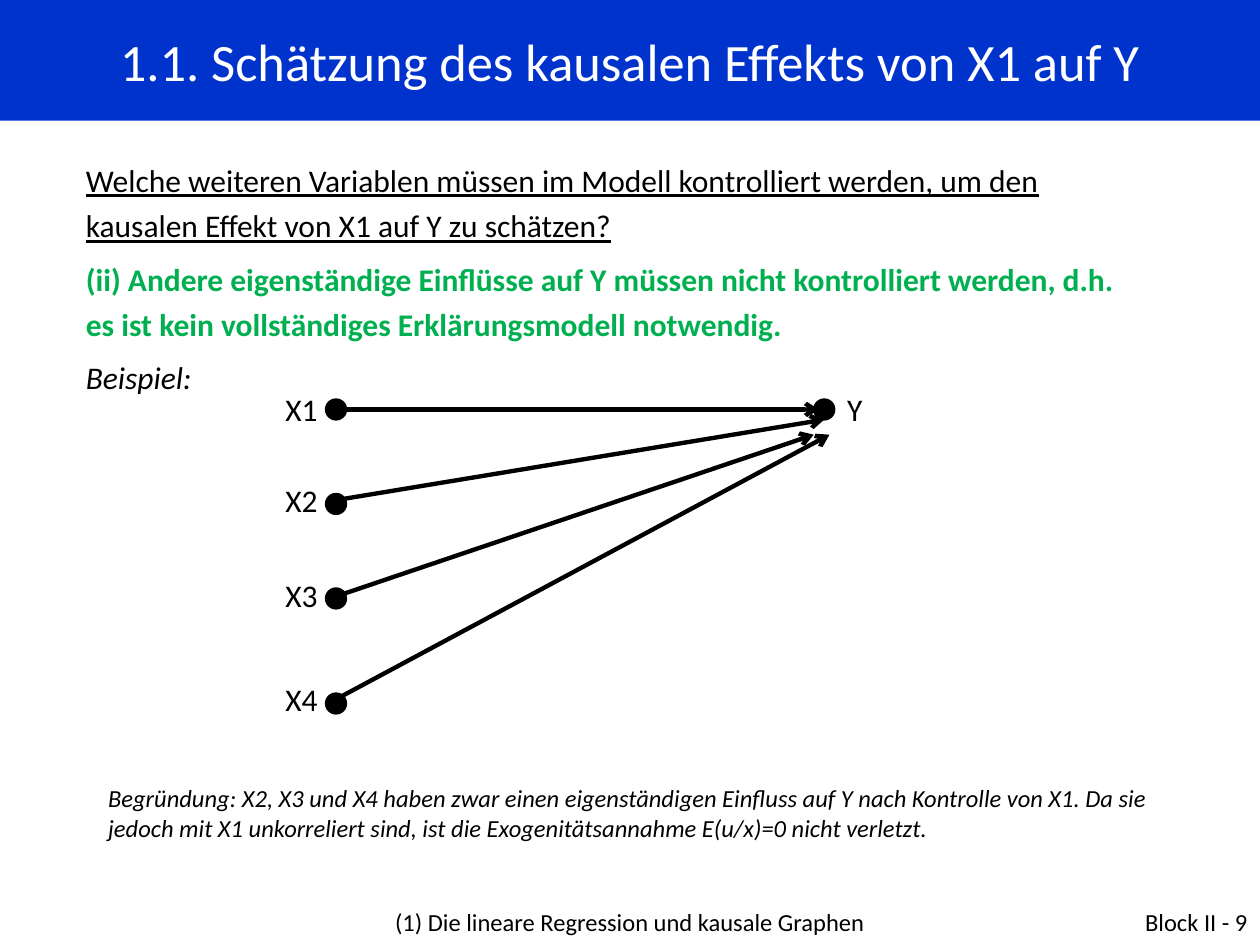
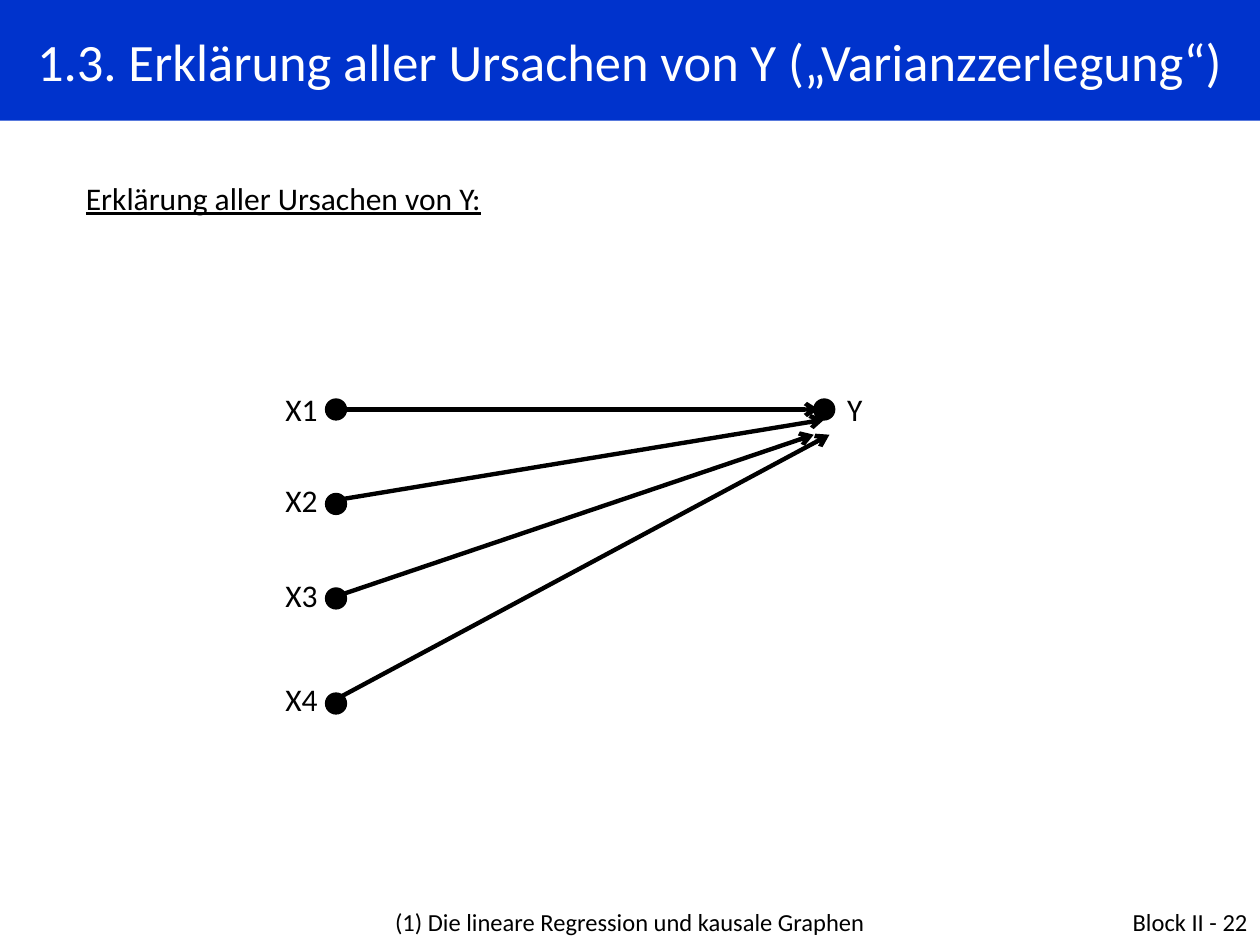
from dataclasses import dataclass

from lxml.etree import SubElement
from pptx import Presentation
from pptx.dml.color import RGBColor
from pptx.enum.shapes import MSO_CONNECTOR, MSO_SHAPE
from pptx.enum.text import MSO_ANCHOR, MSO_AUTO_SIZE, PP_ALIGN
from pptx.oxml.ns import qn
from pptx.util import Pt


@dataclass(frozen=True)
class Theme:
    font: str = "Calibri"
    band: RGBColor = RGBColor(0x00, 0x33, 0xCC)
    ink: RGBColor = RGBColor(0x00, 0x00, 0x00)
    paper: RGBColor = RGBColor(0xFF, 0xFF, 0xFF)
    accent: RGBColor = RGBColor(0x00, 0xB0, 0x50)
    title_size: float = 30
    body_size: float = 18
    small_size: float = 14
    arrow_width: float = 2.5
    dot_line: float = 0.75


THEME = Theme()
WIDTH, HEIGHT = 720, 540
TITLE_BOX = (0, 0, WIDTH, 69)
GRAPH_BOX = (156, 219.6, 357, 194)
FOOTER_BOX = (174, 514.8, 546, 25.2)
FOOTER = "(1) Die lineare Regression und kausale Graphen"

DOT = 12
LABEL_W, LABEL_H = 36, 28.8
DOT_X, Y_DOT_X, Y_LABEL_X = 36, 315, 321
# name, dot centre, label centre, arrow start x, arrow end; relative to the graph box
CAUSES = [
    ("X1", 14.4, 14.4, 36, (312, 14.4)),
    ("X2", 68.4, 66.2, 36, (315, 20.2)),
    ("X3", 122.4, 120.2, 39, (309, 28.8)),
    ("X4", 182.4, 180, 36, (318, 28.8)),
]


def write(tf, text, size=THEME.body_size, color=THEME.ink, align=PP_ALIGN.LEFT,
          bold=False, italic=False, underline=False, line=None, after=None):
    """Fill the first paragraph if it is empty, otherwise append one."""
    p = tf.paragraphs[0] if not tf.text else tf.add_paragraph()
    p.alignment = align
    if line:
        p.line_spacing = line
    if after is not None:
        p.space_after = Pt(after)
    r = p.add_run()
    r.text = text
    f = r.font
    f.name, f.size, f.color.rgb = THEME.font, Pt(size), color
    f.bold, f.italic, f.underline = bold, italic, underline


def add_frame(s, box):
    tf = s.shapes.add_textbox(*map(Pt, box)).text_frame
    tf.word_wrap = True
    return tf


def add_title(s, box, text):
    sp = s.shapes.title
    sp.left, sp.top, sp.width, sp.height = map(Pt, box)
    sp.fill.solid()
    sp.fill.fore_color.rgb = THEME.band
    tf = sp.text_frame
    tf.word_wrap = True
    tf.auto_size = MSO_AUTO_SIZE.NONE
    tf.vertical_anchor = MSO_ANCHOR.MIDDLE
    write(tf, text, size=THEME.title_size, color=THEME.paper, align=PP_ALIGN.CENTER)


def add_body(s, box, paragraphs):
    tf = add_frame(s, box)
    for text, style in paragraphs:
        write(tf, text, line=1.2, after=4.5, **style)


def add_footer(s, box, number):
    x, y, w, h = box
    topic_w, number_w = 372, 168
    write(add_frame(s, (x, y, topic_w, h)), FOOTER,
          size=THEME.small_size, align=PP_ALIGN.CENTER)
    write(add_frame(s, (x + w - number_w, y, number_w, h)), f"Block II - {number}",
          size=THEME.small_size, align=PP_ALIGN.RIGHT)


def add_dot(s, cx, cy):
    sp = s.shapes.add_shape(MSO_SHAPE.OVAL, Pt(cx - DOT / 2), Pt(cy - DOT / 2),
                            Pt(DOT), Pt(DOT))
    sp.shadow.inherit = False
    sp.fill.solid()
    sp.fill.fore_color.rgb = THEME.ink
    sp.line.color.rgb = THEME.ink
    sp.line.width = Pt(THEME.dot_line)


def add_arrow(s, x1, y1, x2, y2):
    c = s.shapes.add_connector(MSO_CONNECTOR.STRAIGHT, Pt(x1), Pt(y1), Pt(x2), Pt(y2))
    c.line.color.rgb = THEME.ink
    c.line.width = Pt(THEME.arrow_width)
    SubElement(c.line._get_or_add_ln(), qn("a:tailEnd"), type="arrow")
    SubElement(c._element.spPr, qn("a:effectLst"))


def add_node(s, cx, cy, label_x, label_cy, name):
    add_dot(s, cx, cy)
    write(add_frame(s, (label_x, label_cy - LABEL_H / 2, LABEL_W, LABEL_H)), name)


def add_causal_graph(s, box):
    x, y = box[:2]
    effect_y = y + CAUSES[0][1]
    add_node(s, x + Y_DOT_X, effect_y, x + Y_LABEL_X, effect_y, "Y")
    for name, dot_y, label_y, start_x, (end_x, end_y) in CAUSES:
        add_arrow(s, x + start_x, y + label_y, x + end_x, y + end_y)
        add_node(s, x + DOT_X, y + dot_y, x, y + label_y, name)


def add_graph_slide(prs, title, number, body_box, paragraphs):
    """Add a slide with title band, body text, causal graph and footer."""
    s = prs.slides.add_slide(prs.slide_layouts[5])
    add_title(s, TITLE_BOX, title)
    add_body(s, body_box, paragraphs)
    add_causal_graph(s, GRAPH_BOX)
    add_footer(s, FOOTER_BOX, number)
    return s


def main():
    prs = Presentation()
    prs.slide_width, prs.slide_height = Pt(WIDTH), Pt(HEIGHT)

    s = add_graph_slide(
        prs, "1.1. Schätzung des kausalen Effekts von X1 auf Y", 9, (42, 84.2, 607, 149),
        [("Welche weiteren Variablen müssen im Modell kontrolliert werden, um den "
          "kausalen Effekt von X1 auf Y zu schätzen?", {"underline": True}),
         ("(ii) Andere eigenständige Einflüsse auf Y müssen nicht kontrolliert werden, "
          "d.h. es ist kein vollständiges Erklärungsmodell notwendig.",
          {"bold": True, "color": THEME.accent}),
         ("Beispiel:", {"italic": True})])
    write(add_frame(s, (54.7, 444.2, 623, 41)),
          "Begründung: X2, X3 und X4 haben zwar einen eigenständigen Einfluss auf Y nach "
          "Kontrolle von X1. Da sie jedoch mit X1 unkorreliert sind, ist die "
          "Exogenitätsannahme E(u/x)=0 nicht verletzt.",
          size=THEME.small_size, italic=True)

    add_graph_slide(
        prs, "1.3. Erklärung aller Ursachen von Y („Varianzzerlegung“)", 22,
        (42, 94.3, 648, 31.7),
        [("Erklärung aller Ursachen von Y:", {"underline": True})])

    prs.save("out.pptx")


if __name__ == "__main__":
    main()
